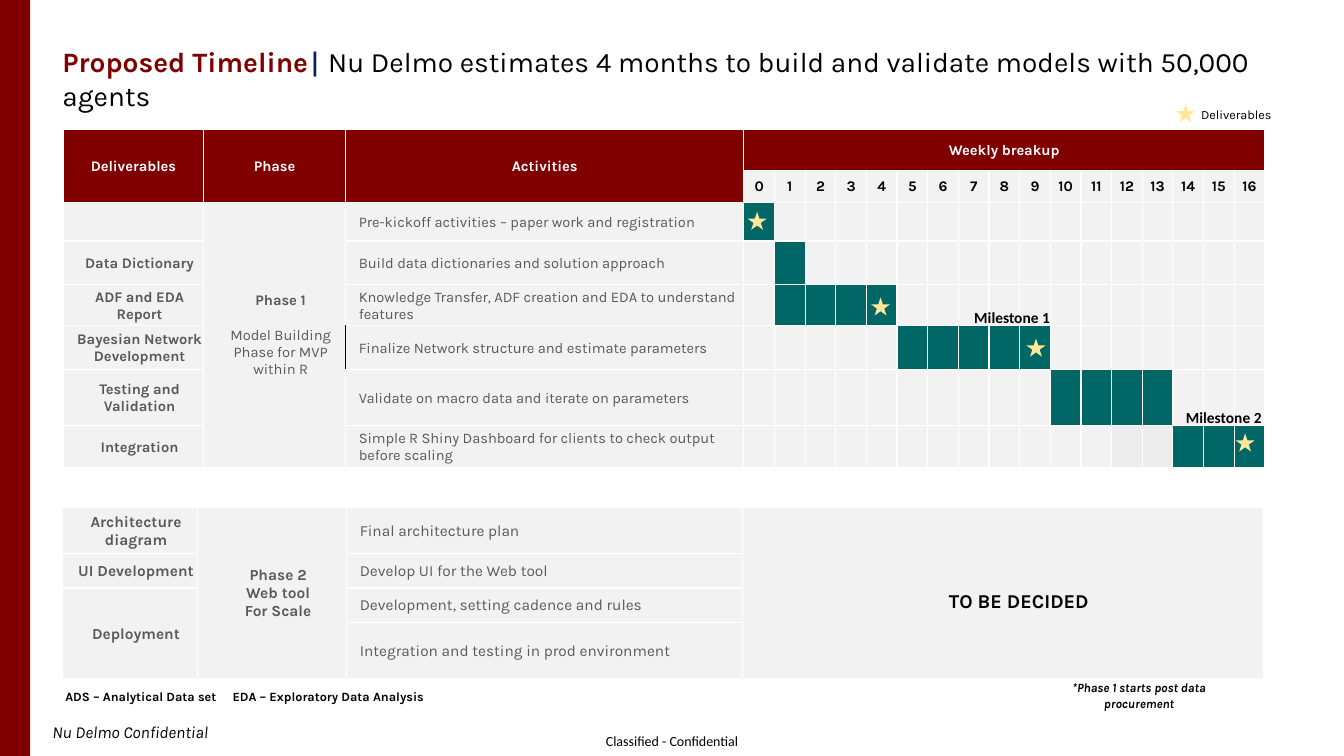
"""Build a project timeline slide with a weekly plan and a second-phase table."""
from lxml import etree
from pptx import Presentation, util as u
from pptx.dml.color import RGBColor
from pptx.enum import shapes, text
from pptx.oxml.ns import qn

COLORS = {"maroon": "800000", "teal": "006666", "pale": "F2F2F2", "shade": "EDEDED",
          "gold": "FFE699", "navy": "002060", "grey": "595959", "black": "000000",
          "white": "FFFFFF"}
LEFT, CENTER = text.PP_ALIGN.LEFT, text.PP_ALIGN.CENTER
TOP, MIDDLE = text.MSO_ANCHOR.TOP, text.MSO_ANCHOR.MIDDLE
SIDES = {"lnL": "left", "lnR": "right", "lnT": "top", "lnB": "bottom"}
INDENT = 1.44
CELL_INSETS = (0.12, 0.12, 0.12, 0)


class Page:
    """Hold the slide style and draw on a grid of 160 columns by 90 rows."""

    base = {"name": "Karla", "size": 10.5, "bold": False, "italic": False, "color": "black"}

    def __init__(self, deck):
        self.column = deck.slide_width / 160
        self.row = deck.slide_height / 90
        self.slide = deck.slides.add_slide(deck.slide_layouts[5])
        self.shapes = self.slide.shapes

    def across(self, columns):
        return round(columns * self.column)

    def down(self, rows):
        return round(rows * self.row)

    def place(self, left, top, width, height):
        return self.across(left), self.down(top), self.across(width), self.down(height)

    def style(self, font, look):
        for key, value in {**self.base, **look}.items():
            if key == "color":
                font.color.rgb = RGBColor.from_string(COLORS[value])
            else:
                setattr(font, key, u.Pt(value) if key == "size" else value)

    def compose(self, frame, lines, align=LEFT, indent=0):
        for index, (spans, gap) in enumerate(lines):
            para = frame.add_paragraph() if index else frame.paragraphs[0]
            para.alignment = align
            if indent:
                para._p.get_or_add_pPr().set("marL", str(self.across(indent)))
                para._p.get_or_add_pPr().set("indent", "0")
            if gap:
                para.space_before = u.Pt(gap)
            for words, look in spans:
                span = para.add_run()
                span.text = words
                self.style(span.font, look)

    def title(self, place, spans):
        box = self.shapes.title
        box.left, box.top, box.width, box.height = self.place(*place)
        box.text_frame.auto_size = text.MSO_AUTO_SIZE.NONE
        box.text_frame.vertical_anchor = MIDDLE
        self.compose(box.text_frame, [(spans, 0)])

    def note(self, place, words, look, align=LEFT, anchor=TOP, wrap=True):
        frame = self.shapes.add_textbox(*self.place(*place)).text_frame
        frame.word_wrap = wrap
        frame.vertical_anchor = anchor
        self.compose(frame, [([(words, look)], 0)], align)

    def shape(self, kind, place, color):
        shape = self.shapes.add_shape(kind, *self.place(*place))
        shape.shadow.inherit = False
        shape.fill.solid()
        shape.fill.fore_color.rgb = RGBColor.from_string(COLORS[color])
        shape.line.fill.background()

    def star(self, left, top):
        self.shape(shapes.MSO_SHAPE.STAR_5_POINT, (left, top, 2.28, 2.16), "gold")

    def border(self, cell, sides):
        for tag in SIDES:
            if SIDES[tag] in sides:
                line = etree.SubElement(cell._tc.get_or_add_tcPr(), qn("a:" + tag), w="12700")
                fill = etree.SubElement(line, qn("a:solidFill"))
                etree.SubElement(fill, qn("a:srgbClr"), val=COLORS[sides[SIDES[tag]]])

    def table(self, corner, widths, heights, merges, fills, contents, edges):
        place = self.place(*corner, sum(widths), sum(heights))
        grid = self.shapes.add_table(len(heights), len(widths), *place).table
        grid.first_row = grid.horz_banding = False
        for column, width in zip(grid.columns, widths):
            column.width = self.across(width)
        for row, height in zip(grid.rows, heights):
            row.height = self.down(height)
        for r in range(len(heights)):
            for c in range(len(widths)):
                cell = grid.cell(r, c)
                spot = contents.get((r, c), {})
                insets = spot.get("insets", CELL_INSETS)
                for side, inset in zip(("left", "top", "right", "bottom"), insets):
                    setattr(cell, "margin_" + side, self.across(inset))
                cell.vertical_anchor = MIDDLE
                sides = dict.fromkeys(SIDES.values(), "white")
                sides.update(edges.get((r, c), {}))
                self.border(cell, {side: color for side, color in sides.items() if color})
                cell.fill.solid()
                cell.fill.fore_color.rgb = RGBColor.from_string(COLORS[fills.get((r, c), "pale")])
                if spot:
                    self.compose(cell.text_frame, spot["lines"], spot["align"], spot["indent"])
        for first, last in merges:
            grid.cell(*first).merge(grid.cell(*last))


def entry(words, look, align=CENTER, indent=INDENT):
    return {"lines": [([(words, look)], 0)], "align": align, "indent": indent}


def weekly_plan(page):
    heading = {"bold": True, "color": "white"}
    strong, plain = {"bold": True, "color": "grey"}, {"color": "grey"}
    steps = [
        ("", "Pre-kickoff activities – paper work and registration", 0, 0),
        ("Data Dictionary", "Build data dictionaries and solution approach", 1, 1),
        ("ADF and EDA Report",
         "Knowledge Transfer, ADF creation and EDA to understand features", 1, 4),
        ("Bayesian Network Development",
         "Finalize Network structure and estimate parameters", 5, 9),
        ("Testing and Validation", "Validate on macro data and iterate on parameters", 10, 13),
        ("Integration",
         "Simple R Shiny Dashboard for clients to check output before scaling", 14, 16)]
    fills = {(r, c): "maroon" for r in range(2) for c in range(20) if r == 0 or c < 3}
    fills.update({(7, 3 + week): "shade" for week in (12, 13)})
    contents = {(0, c): entry(words, heading, indent=0) for c, words in
                enumerate(["Deliverables", "Phase", "Activities", "Weekly breakup"])}
    for week in range(17):
        contents[1, 3 + week] = entry(str(week), {"bold": True}, indent=0)
    for r, (deliverable, activity, start, end) in enumerate(steps, 2):
        if deliverable:
            contents[r, 0] = entry(deliverable, strong)
        contents[r, 2] = entry(activity, plain, LEFT)
        fills.update({(r, 3 + week): "teal" for week in range(start, end + 1)})
    contents[2, 1] = {"lines": [([("Phase 1", strong)], 0),
                                ([("Model Building Phase for MVP within R", plain)], 12.3)],
                      "align": CENTER, "indent": INDENT, "insets": (1.2, 0.6, 1.2, 0.6)}
    edges = {(r, 1): {"right": None} for r in range(2, 8)}
    edges[5, 2] = {"left": "black"}
    merges = [((0, c), (1, c)) for c in range(3)] + [((0, 3), (0, 19)), ((2, 1), (7, 1))]
    page.table((7.56, 15.4), [16.68, 16.92, 47.4] + [62.04 / 17] * 17,
               [4.9, 3.8, 4.6, 5.2, 4.9, 5.2, 6.7, 5], merges, fills, contents, edges)


def second_phase(page):
    strong = {"size": 11, "bold": True, "color": "grey"}
    plain = {"size": 11, "color": "grey"}
    contents = {(r, 0): entry(words, strong) for r, words in
                enumerate(["Architecture diagram", "UI Development", "Deployment"])}
    activities = ["Final architecture plan", "Develop UI for the Web tool",
                  "Development, setting cadence and rules",
                  "Integration and testing in prod environment"]
    contents.update({(r, 2): entry(words, plain, LEFT) for r, words in enumerate(activities)})
    contents[0, 1] = {"lines": [([(words, strong)], 0) for words in
                                ("Phase 2", "Web tool", "For Scale")],
                      "align": CENTER, "indent": INDENT}
    merges = [((0, 1), (3, 1)), ((0, 3), (3, 3)), ((2, 0), (3, 0))]
    page.table((7.44, 60.4), [16.08, 17.76, 47.16, 62.04], [5.5, 4.1, 4.1, 6.7],
               merges, {}, contents, {})


def main():
    deck = Presentation()
    deck.slide_width, deck.slide_height = u.Inches(13.33), u.Inches(7.5)
    page = Page(deck)
    small = {"size": 9}
    small_bold = {"size": 9, "bold": True}
    milestone = {"name": "Calibri", "size": 11, "bold": True}

    page.note((70.1, 86.5, 19.8, 3.5), "Classified - Confidential",
              {"name": "Calibri", "size": 10}, CENTER, MIDDLE)
    page.note((5.04, 85.3, 45.7, 3.6), "Nu Delmo Confidential", {"size": 12, "italic": True})
    page.shape(shapes.MSO_SHAPE.RECTANGLE, (0, 0, 3.6, 90), "maroon")
    page.title((6.24, 4.7, 146, 9.2), [
        ("Proposed Timeline", {"size": 20, "bold": True, "color": "maroon"}),
        ("| ", {"name": "Calibri", "size": 20, "bold": True, "color": "navy"}),
        ("Nu Delmo estimates 4 months to build and validate models with 50,000 agents",
         {"size": 20})])
    weekly_plan(page)
    second_phase(page)
    page.note((123.4, 81.2, 24.4, 3.2), "*Phase 1 starts post data procurement",
              {**small_bold, "italic": True}, CENTER, MIDDLE, False)
    page.note((141.8, 12.1, 13, 3), "Deliverables", small)
    page.note((26.5, 81.4, 26.4, 3), "EDA – Exploratory Data Analysis", small_bold, wrap=False)
    page.note((6.6, 81.4, 21.5, 3), "ADS – Analytical Data set", small_bold, wrap=False)
    page.note((92, 69.5, 58.6, 4.1), "TO BE DECIDED", {"size": 14, "bold": True}, CENTER)
    for left, top in [(140, 12.4), (89, 25.2), (103.7, 35.4), (122.2, 40.3), (147.1, 51.6)]:
        page.star(left, top)
    for number, left, top in [(1, 114.8, 36.1), (2, 140, 48)]:
        page.note((left, top, 12.8, 3.5), f"Milestone {number}", milestone)
    deck.save("out.pptx")


if __name__ == "__main__":
    main()
